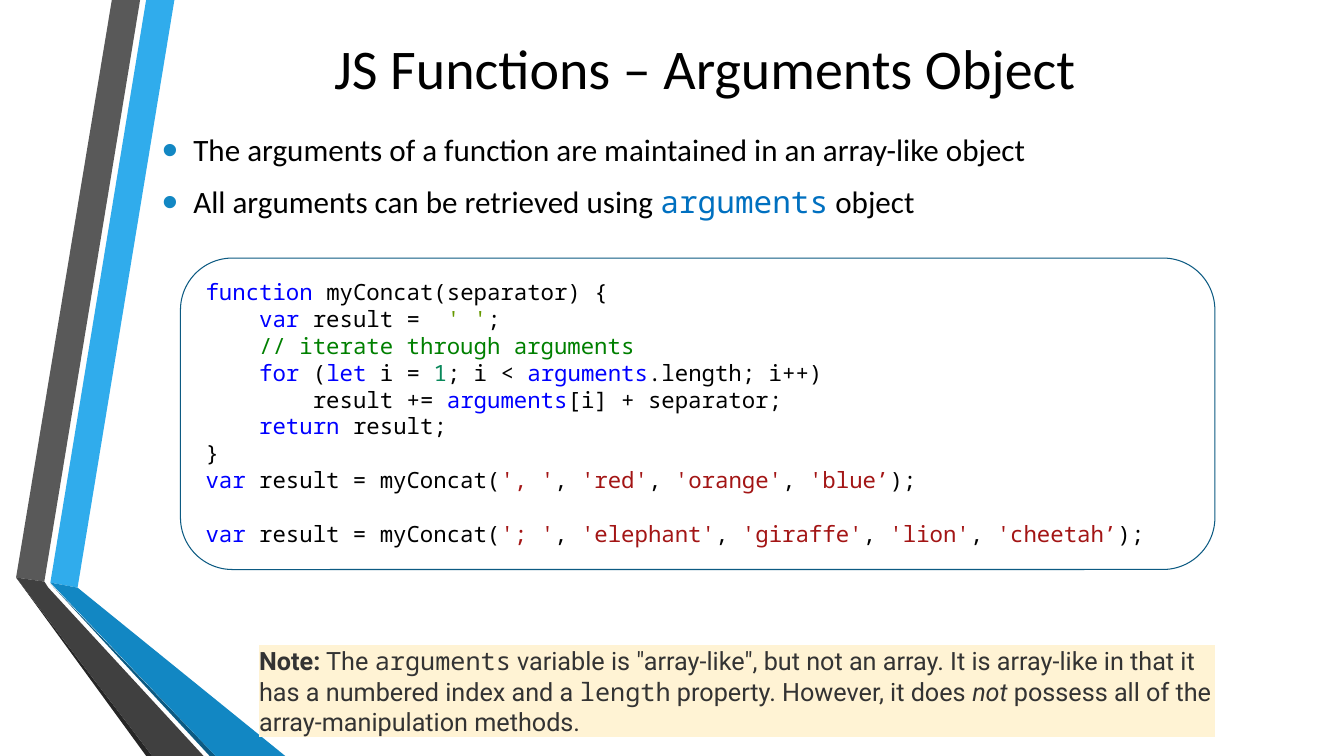
"""Build the slide on the arguments object of JS functions."""
import pptx
import pptx.util
import pptx.dml.color
import pptx.enum.shapes
import pptx.enum.text
import pptx.oxml

PX = 9144
RGBColor = pptx.dml.color.RGBColor
Pt = pptx.util.Pt
SHAPE = pptx.enum.shapes.MSO_SHAPE
ALIGN = pptx.enum.text.PP_ALIGN
ANCHOR = pptx.enum.text.MSO_ANCHOR

BLACK = RGBColor(0x00, 0x00, 0x00)
TEXT = RGBColor(0x33, 0x33, 0x33)
CREAM = RGBColor(0xFF, 0xF3, 0xD4)
SKY = RGBColor(0x30, 0xAC, 0xEC)
BLUE = RGBColor(0x12, 0x87, 0xC3)
NAVY = RGBColor(0x0C, 0x5A, 0x82)
GRAY = RGBColor(0x59, 0x59, 0x59)
DARK = RGBColor(0x40, 0x40, 0x40)
COAL = RGBColor(0x26, 0x26, 0x26)
TERM = RGBColor(0x00, 0x70, 0xC0)
KEY = RGBColor(0x00, 0x00, 0xFF)
OLIVE = RGBColor(0x66, 0x99, 0x00)
GREEN = RGBColor(0x00, 0x80, 0x00)
TEAL = RGBColor(0x09, 0x88, 0x5A)
RED = RGBColor(0xA3, 0x15, 0x15)
SANS, MONO, NOTE = "Calibri", "Noto Sans Mono", "Roboto"


def add_para(frame, first, size, runs):
    para = frame.paragraphs[0] if first else frame.add_paragraph()
    para.alignment = ALIGN.LEFT
    for text, font, color in runs:
        run = para.add_run()
        run.text = text
        run.font.name = font
        run.font.size = Pt(size)
        run.font.color.rgb = color
    return para


def add_box(kind, left, top, width, height):
    box = slide.shapes.add_shape(kind, left * PX, top * PX, width * PX, height * PX)
    box.shadow.inherit = False
    box.text_frame.word_wrap = True
    return box


deck = pptx.Presentation()
deck.slide_width, deck.slide_height = 1333 * PX, 750 * PX
slide = deck.slides.add_slide(deck.slide_layouts[6])

bands = [
    (SKY, [(50, 578), (77, 583), (173, 0), (145, 0)]),
    (GRAY, [(139, 0), (111, 0), (16, 573), (44, 577)]),
    (COAL, [(16, 573), (145, 750), (151, 750)]),
    (NAVY, [(50, 579), (208, 750), (214, 750)]),
    (BLUE, [(50, 578), (214, 750), (283, 750), (77, 583)]),
    (DARK, [(202, 750), (48, 583), (44, 577), (16, 573), (151, 750)]),
]
for color, points in bands:
    pen = slide.shapes.build_freeform(*points[0], scale=PX)
    pen.add_line_segments(points[1:], close=True)
    band = pen.convert_to_shape()
    band.shadow.inherit = False
    band.fill.solid()
    band.fill.fore_color.rgb = color
    band.line.fill.background()

title = slide.shapes.add_textbox(151 * PX, 1 * PX, 1096 * PX, 131 * PX).text_frame
title.word_wrap = True
title.vertical_anchor = ANCHOR.MIDDLE
para = add_para(title, True, 40, [("JS Functions – Arguments Object", SANS, BLACK)])
para.alignment = ALIGN.CENTER

points = [
    [("The arguments of a function are maintained in an array-like object", SANS, BLACK)],
    [("All arguments can be retrieved using ", SANS, BLACK),
     ("arguments", MONO, TERM), (" object", SANS, BLACK)],
]
body = slide.shapes.add_textbox(151 * PX, 125 * PX, 1096 * PX, 103 * PX).text_frame
body.word_wrap = True
for row, runs in enumerate(points):
    para = add_para(body, row == 0, 22.2, runs)
    para.space_before = Pt(4.4 if row else 0)
    para.space_after = Pt(6)
    props = para._p.get_or_add_pPr()
    props.set("marL", str(31 * PX))
    props.set("indent", str(-31 * PX))
    for xml in (f'buClr {{}}><a:srgbClr val="{BLUE}"/></a:buClr>',
                'buSzPct {} val="145000"/>',
                'buFont {} typeface="Arial"/>',
                'buChar {} char="•"/>'):
        space = 'xmlns:a="http://schemas.openxmlformats.org/drawingml/2006/main"'
        props.append(pptx.oxml.parse_xml("<a:" + xml.format(space)))

note = add_box(SHAPE.RECTANGLE, 257, 640, 948, 91)
note.fill.solid()
note.fill.fore_color.rgb = CREAM
note.line.fill.background()
frame = note.text_frame
frame.vertical_anchor = ANCHOR.MIDDLE
frame.margin_left = frame.margin_right = frame.margin_top = frame.margin_bottom = 0
para = add_para(frame, True, 18, [
    ("Note:", NOTE, TEXT),
    (" The ", NOTE, TEXT),
    ("arguments", MONO, TEXT),
    (" variable is \"array-like\", but not an array. It is array-like in that "
     "it has a numbered index and a ", NOTE, TEXT),
    ("length", MONO, TEXT),
    (" property. However, it does ", NOTE, TEXT),
    ("not", NOTE, TEXT),
    (" possess all of the array-manipulation methods.", NOTE, TEXT),
])
para.runs[0].font.bold = True
para.runs[6].font.italic = True

code = [
    [("function ", KEY), ("myConcat(separator) {", BLACK)],
    [("    var", KEY), (" result = ", BLACK), (" ' '", OLIVE), (";", BLACK)],
    [("    // iterate through arguments", GREEN)],
    [("    for", KEY), (" (", BLACK), ("let ", KEY), ("i = ", BLACK), ("1", TEAL),
     ("; i < ", BLACK), ("arguments", KEY), (".length; i++)", BLACK)],
    [("        result += ", BLACK), ("arguments", KEY), ("[i] + separator;", BLACK)],
    [("    return", KEY), (" result;", BLACK)],
    [("}", BLACK)],
]
calls = [
    ["', '", "'red'", "'orange'", "'blue’"],
    ["'; '", "'elephant'", "'giraffe'", "'lion'", "'cheetah’"],
]
for words in calls:
    line = [("var", KEY), (" result = myConcat(", BLACK)]
    for word in words:
        line += [(word, RED), (", ", BLACK)]
    code.append(line[:-1] + [(");", BLACK)])

panel = add_box(SHAPE.ROUNDED_RECTANGLE, 179, 256, 1026, 309)
panel.fill.background()
panel.line.color.rgb = NAVY
panel.line.width = Pt(0.75)
panel.text_frame.vertical_anchor = ANCHOR.TOP
for row, line in enumerate(code):
    runs = [(text, MONO, color) for text, color in line]
    para = add_para(panel.text_frame, row == 0, 16, runs)
para.space_before = Pt(19.2)

deck.save("out.pptx")
